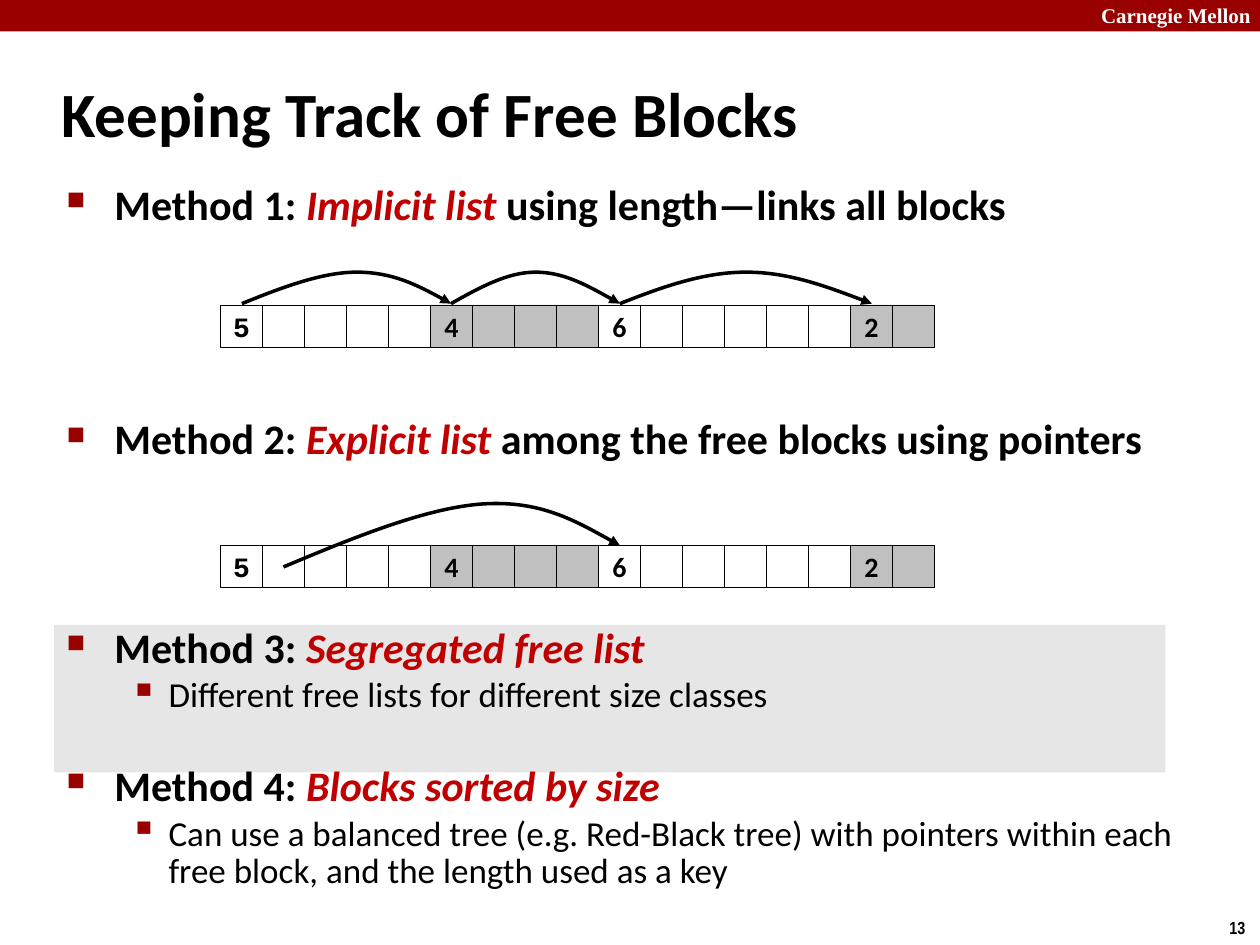
from lxml.etree import SubElement
from pptx import Presentation
from pptx.dml.color import RGBColor
from pptx.enum.shapes import MSO_SHAPE as Shape
from pptx.enum.text import MSO_ANCHOR as Anchor, PP_ALIGN as Align
from pptx.oxml.ns import qn
from pptx.util import Inches, Pt

COLORS = {
    "black": "000000",
    "white": "FFFFFF",
    "banner": "990000",
    "accent": "C00000",
    "band": "E6E6E6",
    "shaded": "C0C0C0",
}
CELL = 1 / 3
ROW_LEFT = 1.75
BLOCKS = [
    (5, "white", "Courier New"),
    (4, "shaded", "Calibri"),
    (6, "white", "Calibri"),
    (2, "shaded", "Calibri"),
]
LEVELS = [
    {"indent": 0.38, "hanging": 0.38, "bullet": "■", "percent": 60, "size": 24, "bold": True},
    {"indent": 0.81, "hanging": 0.31, "bullet": "▪", "percent": 110, "size": 20, "bold": False},
]
BODY = [
    (0, 0, 1.0, ["Method 1: ", "Implicit list ", "using length—links all blocks"]),
    (0, 105, 1.0, ["Method 2: ", "Explicit list ", "among the free blocks using pointers"]),
    (0, 95, 0.83, ["Method 3: ", "Segregated free list"]),
    (1, 4, 0.88, ["Different free lists for different size classes"]),
    (0, 30, 0.83, ["Method 4: ", "Blocks sorted by size"]),
    (1, 4, 0.88, ["Can use a balanced tree (e.g. Red-Black tree) with pointers within each "
                  "free block, and the length used as a key"]),
]
ARC_HEIGHTS = [2.41, 2.28, 2.16, 2.16, 2.16, 2.28, 2.41]
IMPLICIT_LINKS = [
    [1.92, 2.24, 2.56, 2.83, 3.11, 3.35, 3.58],
    [3.58, 3.81, 4.03, 4.25, 4.47, 4.69, 4.92],
    [4.92, 5.25, 5.58, 5.92, 6.25, 6.58, 6.92],
]
EXPLICIT_LINK = [(2.25, 4.5), (2.82, 4.26), (3.39, 4.03), (3.83, 4),
                 (4.28, 3.97), (4.6, 4.15), (4.92, 4.33)]


class SlideBuilder:
    def __init__(self, slide):
        self.slide = slide

    def color(self, name):
        return RGBColor.from_string(COLORS[name])

    def style(self, font, name, size, color="black", bold=True):
        font.name = name
        font.size = Pt(size)
        font.bold = bold
        font.color.rgb = self.color(color)

    def rectangle(self, left, top, width, height, fill, outlined=False):
        shape = self.slide.shapes.add_shape(
            Shape.RECTANGLE, Inches(left), Inches(top), Inches(width), Inches(height))
        shape.shadow.inherit = False
        shape.fill.solid()
        shape.fill.fore_color.rgb = self.color(fill)
        if outlined:
            shape.line.color.rgb = self.color("black")
            shape.line.width = Pt(0.25)
        else:
            shape.line.fill.background()
        return shape

    def text_frame(self, left, top, width, height, wrap=True):
        box = self.slide.shapes.add_textbox(
            Inches(left), Inches(top), Inches(width), Inches(height))
        box.text_frame.word_wrap = wrap
        return box.text_frame

    def label(self, text, place, font, size, color="black", wrap=True, anchor=Anchor.TOP):
        frame = self.text_frame(*place, wrap=wrap)
        frame.vertical_anchor = anchor
        paragraph = frame.paragraphs[0]
        paragraph.text = text
        self.style(paragraph.font, font, size, color)

    def bullet(self, paragraph, level):
        properties = paragraph._p.get_or_add_pPr()
        properties.set("marL", str(Inches(level["indent"])))
        properties.set("indent", str(-Inches(level["hanging"])))
        bullet_color = SubElement(properties, qn("a:buClr"))
        SubElement(bullet_color, qn("a:srgbClr"), val=COLORS["banner"])
        SubElement(properties, qn("a:buSzPct"), val=str(level["percent"] * 1000))
        SubElement(properties, qn("a:buChar"), char=level["bullet"])

    def body(self, items, place):
        frame = self.text_frame(*place)
        for index, (depth, space_before, line_spacing, parts) in enumerate(items):
            paragraph = frame.add_paragraph() if index else frame.paragraphs[0]
            level = LEVELS[depth]
            paragraph.level = depth
            self.bullet(paragraph, level)
            paragraph.space_before = Pt(space_before)
            paragraph.line_spacing = line_spacing
            self.style(paragraph.font, "Calibri", level["size"], bold=level["bold"])
            for position, text in enumerate(parts):
                run = paragraph.add_run()
                run.text = text
                if position == 1:
                    run.font.italic = True
                    run.font.color.rgb = self.color("accent")

    def cell_text(self, shape, text, font):
        frame = shape.text_frame
        frame.word_wrap = False
        frame.vertical_anchor = Anchor.MIDDLE
        paragraph = frame.paragraphs[0]
        paragraph.text = text
        paragraph.alignment = Align.CENTER
        self.style(paragraph.font, font, 16)

    def memory_row(self, top):
        left = ROW_LEFT
        for length, fill, font in BLOCKS:
            for index in range(length):
                cell = self.rectangle(left, top, CELL, CELL, fill, outlined=True)
                if index == 0:
                    self.cell_text(cell, str(length), font)
                left += CELL

    def curved_arrow(self, points):
        start, *others = [(Inches(x), Inches(y)) for x, y in points]
        builder = self.slide.shapes.build_freeform(*start)
        builder.add_line_segments(others, close=False)
        shape = builder.convert_to_shape()
        segments = list(shape._element.iter(qn("a:lnTo")))
        outline = segments[0].getparent()
        for first in range(0, len(segments), 3):
            curve = SubElement(outline, qn("a:cubicBezTo"))
            for segment in segments[first:first + 3]:
                curve.append(segment[0])
                outline.remove(segment)
        shape.shadow.inherit = False
        shape.fill.background()
        shape.line.color.rgb = self.color("black")
        shape.line.width = Pt(2)
        SubElement(shape.line._get_or_add_ln(), qn("a:tailEnd"), type="triangle")


def main():
    presentation = Presentation()
    presentation.slide_width = Inches(10)
    presentation.slide_height = Inches(7.5)
    builder = SlideBuilder(presentation.slides.add_slide(presentation.slide_layouts[6]))

    builder.rectangle(0, 0, 10, 0.25, "banner")
    builder.label("Carnegie Mellon", (8.64, -0.03, 1.43, 0.3), "Times New Roman", 12, "white")
    builder.label("13", (9.66, 7.23, 0.34, 0.27), "Arial Narrow", 10, wrap=False)
    builder.rectangle(0.43, 4.96, 8.82, 1.17, "band")
    builder.label("Keeping Track of Free Blocks", (0.39, 0.48, 8.3, 0.83), "Calibri", 36,
                  anchor=Anchor.MIDDLE)
    builder.body(BODY, (0.43, 1.37, 9.07, 5.88))

    builder.memory_row(2.42)
    for link in IMPLICIT_LINKS:
        builder.curved_arrow(zip(link, ARC_HEIGHTS))
    builder.memory_row(4.33)
    builder.curved_arrow(EXPLICIT_LINK)

    presentation.save("out.pptx")


if __name__ == "__main__":
    main()
